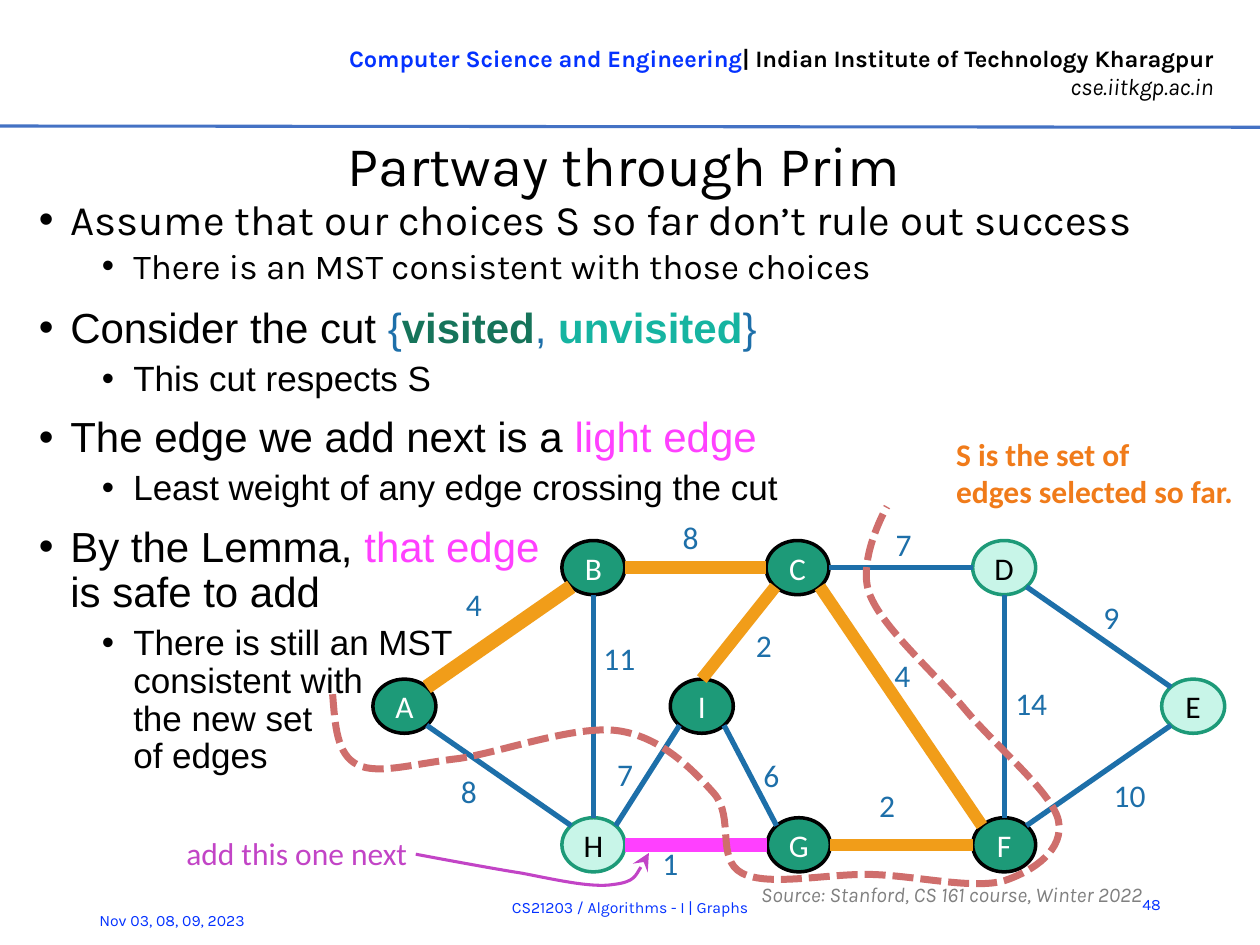
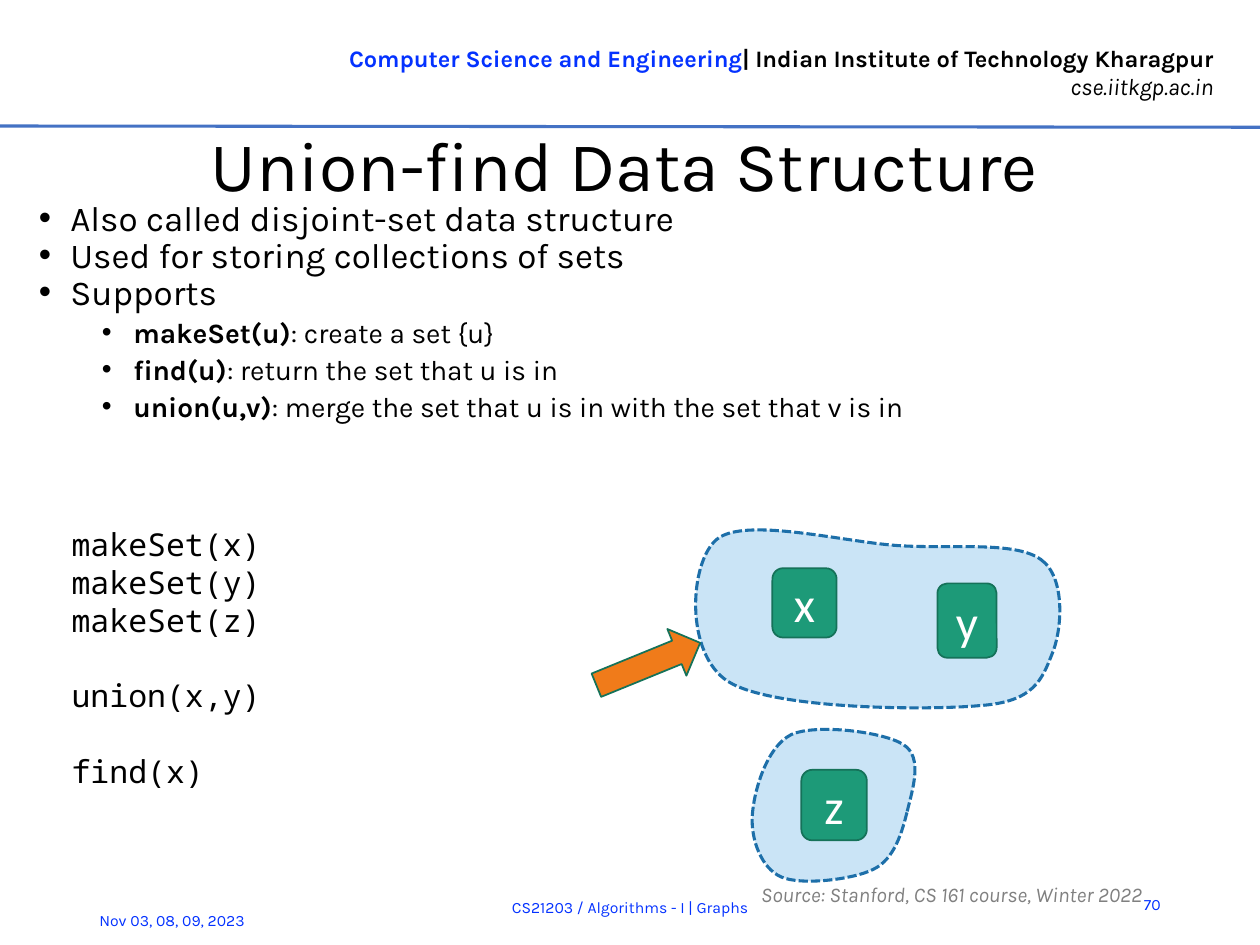
"""Builds two algorithm lecture slides: Prim's cut argument and union-find."""
from math import cos, radians, sin

from lxml import etree
from pptx import Presentation
from pptx.dml.color import RGBColor
from pptx.enum.dml import MSO_LINE
from pptx.enum.shapes import MSO_CONNECTOR, MSO_SHAPE
from pptx.enum.text import MSO_ANCHOR, PP_ALIGN
from pptx.oxml.ns import qn
from pptx.util import Emu, Pt

SCALE = 9144
LEFT, CENTER, RIGHT = PP_ALIGN.LEFT, PP_ALIGN.CENTER, PP_ALIGN.RIGHT
TOP, MIDDLE = MSO_ANCHOR.TOP, MSO_ANCHOR.MIDDLE
ELLIPSE, ROUNDED, ARROW = MSO_SHAPE.OVAL, MSO_SHAPE.ROUNDED_RECTANGLE, MSO_SHAPE.RIGHT_ARROW
STRAIGHT = MSO_CONNECTOR.STRAIGHT
DASH = MSO_LINE.SQUARE_DOT
KARLA, ARIAL, CALIBRI, MONO = "Karla", "Arial", "Calibri", "Noto Sans Mono"

COLORS = {
    "black": "000000", "white": "FFFFFF", "gray": "808080", "link": "0432FF",
    "rule": "4472C4", "blue": "1D6FA9", "pale blue": "CAE4F6", "green": "1D9A78",
    "dark green": "157259", "mint": "C8F5E8", "visited": "16745A",
    "unvisited": "16B4A1", "pink": "FF40FF", "amber": "F19D19",
    "orange": "F07B1A", "cut": "CF6E6C", "purple": "C244C6",
}

NODE_WIDTH, NODE_HEIGHT = 50, 43
NODES = {
    "D": (772, 429), "C": (608, 429), "B": (446, 429), "A": (296, 539), "H": (446, 649),
    "G": (609, 649), "F": (772, 649), "I": (532, 539), "E": (922, 539),
}
UNVISITED = "DEH"
SIDES = {"E": 0, "SE": 45, "S": 90, "SW": 135, "W": 180, "NW": 225, "N": 270, "NE": 315}
EDGES = [
    ("C", "SE", "F", "NW", "amber", 7), ("C", "E", "D", "W", "blue", 3),
    ("E", "NW", "D", "SE", "blue", 3), ("E", "SW", "F", "NE", "blue", 3),
    ("D", "S", "F", "N", "blue", 3), ("I", "SE", "G", "NW", "blue", 3),
    ("G", "E", "F", "W", "amber", 7), ("I", "N", "C", "SW", "amber", 7),
    ("B", "E", "C", "W", "amber", 7), ("A", "NE", "B", "SW", "amber", 8.25),
    ("A", "SE", "H", "NW", "blue", 3), ("G", "W", "H", "E", "pink", 8),
    ("I", "SW", "H", "NE", "blue", 3), ("H", "N", "B", "S", "blue", 3),
]
WEIGHTS = [
    ("7", 701, 412), ("8", 532, 406), ("9", 866, 470), ("10", 874, 611), ("14", 796, 538),
    ("4", 700, 516), ("2", 688, 619), ("2", 590, 492), ("1", 516, 665), ("7", 480, 594),
    ("6", 596, 595), ("8", 356, 608), ("11", 469, 502), ("4", 360, 459),
]
CUT_AREA = (264, 402, 576, 299)
CUT = [
    (264, 551), (266, 575), (267, 599), (284, 607), (300, 615), (329, 606), (364, 602),
    (398, 597), (457, 575), (491, 580), (525, 585), (550, 611), (567, 630),
    (583, 649), (568, 682), (589, 693), (610, 704), (658, 693), (692, 694),
    (727, 695), (772, 706), (797, 699), (821, 691), (845, 674), (840, 651),
    (835, 629), (791, 593), (766, 563), (741, 533), (700, 498), (690, 471),
    (680, 444), (704, 402), (704, 402),
]
POINTER_AREA = (330, 677, 185, 26)
POINTER = [
    (515, 677), (509, 688), (504, 700), (487, 702), (470, 705), (440, 698), (414, 693),
    (388, 689), (330, 678), (330, 678),
]
SET_Z_AREA = (597, 579, 129, 121)
SET_Z = [
    (720, 644), (724, 627), (733, 601), (717, 591), (702, 581), (648, 574), (628, 583),
    (608, 593), (598, 629), (597, 648), (596, 666), (604, 689), (620, 696),
    (636, 703), (677, 698), (693, 690), (710, 682), (716, 660), (720, 644),
]
SET_XY_AREA = (552, 421, 289, 141)
SET_XY = [
    (826, 444), (846, 458), (843, 500), (835, 519), (827, 539), (821, 557), (778, 560),
    (735, 564), (613, 563), (578, 541), (543, 519), (547, 446), (569, 428),
    (591, 410), (669, 430), (712, 433), (754, 436), (805, 429), (826, 444),
]


def px(length):
    return Emu(round(length * SCALE))


def rgb(name):
    return RGBColor.from_string(COLORS[name])


def span(text, **look):
    return text, look


def para(*spans, **layout):
    return [part if isinstance(part, tuple) else span(part) for part in spans], layout


def add_span(target, text, font=KARLA, size=18, color="black", bold=False, italic=False):
    for index, line in enumerate(text.split("\n")):
        if index:
            target.add_line_break()
        if line:
            run = target.add_run()
            run.text = line
            run.font.name = font
            run.font.size = Pt(size)
            run.font.bold = bold
            run.font.italic = italic
            run.font.color.rgb = rgb(color)


def add_bullet(target, level):
    target.level = level
    props = target._p.get_or_add_pPr()
    props.set("marL", str(px(25 + 50 * level)))
    props.set("indent", str(px(-25)))
    etree.SubElement(props, qn("a:buFont")).set("typeface", ARIAL)
    etree.SubElement(props, qn("a:buChar")).set("char", "•")


def add_path_step(outline, tag, points, left, top):
    step = etree.SubElement(outline, qn(tag))
    for x, y in points:
        point = etree.SubElement(step, qn("a:pt"))
        point.set("x", str(px(x - left)))
        point.set("y", str(px(y - top)))


def node_side(node, side):
    left, top = NODES[node]
    angle = radians(SIDES[side])
    return (left + NODE_WIDTH / 2 * (1 + cos(angle)), top + NODE_HEIGHT / 2 * (1 + sin(angle)))


class Lecture:
    def __init__(self):
        self.deck = Presentation()
        self.deck.slide_width, self.deck.slide_height = px(1000), px(750)
        self.layout = self.deck.slide_layouts[5]
        self.page = None

    def start(self, title, number, top, height, size):
        self.page = self.deck.slides.add_slide(self.layout)
        if len(self.deck.slides) == 1:
            self.header()
        small = {"anchor": MIDDLE, "size": 9, "color": "link"}
        self.text((882, 698, 49, 40), [para(number)], align=RIGHT, **small)
        self.title(title, (32, top, 926, height), size)
        self.text((69, 710, 175, 40), [para("Nov 03, 08, 09, 2023")], **small)
        self.text((165, 700, 670, 40), [para("CS21203 / Algorithms - I | Graphs")],
                  align=CENTER, **small)
        self.text((594, 693, 402, 23),
                  [para("Source: Stanford, CS 161 course, Winter 2022", spacing=Pt(21.3))],
                  anchor=MIDDLE, size=12, color="gray", italic=True)

    def header(self):
        tree = self.layout.shapes._spTree
        for holder in list(self.layout.placeholders)[1:]:
            tree.remove(holder._element)
        banner = self.text((265, 30, 708, 56), [
            para(span("Computer Science and Engineering", color="link", bold=True),
                 span("| Indian Institute of Technology Kharagpur", bold=True)),
            para(span("cse.iitkgp.ac.in", italic=True)),
        ], align=RIGHT, wrap=False, size=13.5)
        rule = self.line((0, 100), (1000, 101), "rule", 1.75)
        for shape in (banner, rule):
            tree.append(shape._element)

    def title(self, text, area, size):
        box = self.page.shapes.title
        box.left, box.top, box.width, box.height = map(px, area)
        frame = box.text_frame
        frame.margin_left = frame.margin_right = frame.margin_bottom = 0
        frame.margin_top = px(1)
        self.fill_frame(frame, [para(text, before=0.7)], CENTER, MIDDLE, size=size)
        frame.paragraphs[0]._p.get_or_add_pPr().set("marL", str(px(1)))

    def fill_frame(self, frame, paras, align=LEFT, anchor=TOP, wrap=True, **look):
        frame.word_wrap = wrap
        frame.vertical_anchor = anchor
        for index, (spans, layout) in enumerate(paras):
            target = frame.add_paragraph() if index else frame.paragraphs[0]
            target.alignment = align
            target.line_spacing = layout.get("spacing")
            target.space_before = Pt(layout.get("before", 0))
            target.space_after = Pt(layout.get("after", 0))
            if "level" in layout:
                add_bullet(target, layout["level"])
            para_look = {**look, **layout.get("look", {})}
            for text, own in spans:
                add_span(target, text, **{**para_look, **own})

    def text(self, area, paras, **style):
        box = self.page.shapes.add_textbox(*map(px, area))
        self.fill_frame(box.text_frame, paras, **style)
        return box

    def paint(self, shape, fill, line, width, dash=None):
        shape.shadow.inherit = False
        if fill:
            shape.fill.solid()
            shape.fill.fore_color.rgb = rgb(fill)
        else:
            shape.fill.background()
        shape.line.color.rgb = rgb(line)
        shape.line.width = Pt(width)
        if dash:
            shape.line.dash_style = dash

    def shape(self, kind, area, fill, line, width, label="", rotation=0, **look):
        shape = self.page.shapes.add_shape(kind, *map(px, area))
        shape.rotation = rotation
        self.paint(shape, fill, line, width)
        if label:
            self.fill_frame(shape.text_frame, [para(label)], CENTER, MIDDLE,
                            font=CALIBRI, **look)

    def line(self, start, end, color, width):
        line = self.page.shapes.add_connector(STRAIGHT, *map(px, (*start, *end)))
        line.line.color.rgb = rgb(color)
        line.line.width = Pt(width)
        etree.SubElement(line._element.spPr, qn("a:effectLst"))
        return line

    def curve(self, area, points, line, width, fill=None, dash=None, arrow=False):
        left, top, across, down = area
        builder = self.page.shapes.build_freeform(px(left), px(top))
        builder.add_line_segments([(px(left + across), px(top + down))], close=False)
        shape = builder.convert_to_shape()
        outline = next(shape._element.iter(qn("a:path")))
        del outline[:]
        add_path_step(outline, "a:moveTo", points[:1], left, top)
        for first in range(1, len(points), 3):
            add_path_step(outline, "a:cubicBezTo", points[first:first + 3], left, top)
        if fill:
            etree.SubElement(outline, qn("a:close"))
        self.paint(shape, fill, line, width, dash)
        if arrow:
            head = etree.SubElement(shape.line._get_or_add_ln(), qn("a:headEnd"))
            for key, value in (("type", "stealth"), ("w", "lg"), ("len", "lg")):
                head.set(key, value)


def build_prim(lecture):
    lecture.start("Partway through Prim", "48", 102, 55, 32)
    intro = {"spacing": Pt(20), "before": 2, "after": 2}
    point = {"level": 0, "spacing": 0.9, "before": 10, "look": {"size": 24}}
    detail = {"level": 1, "spacing": 0.9, "before": 5}
    lecture.text((21, 161, 937, 243), [
        para(span("Assume that our choices S so far don’t rule out success", font=KARLA, size=24),
             level=0, **intro),
        para(span("There is an MST consistent with those choices", font=KARLA), level=1, **intro),
        para("Consider the cut ", span("{", color="blue"),
             span("visited", color="visited", bold=True), span(", ", color="blue"),
             span("unvisited", color="unvisited", bold=True), span("}", color="blue"), **point),
        para("This cut respects S", **detail),
        para("The edge we add next is a ", span("light edge", color="pink"), **point),
        para("Least weight of any edge crossing the cut", **detail),
        para("By the Lemma, ", span("that edge\n", color="pink"), "is safe to add", **point),
        para("There is still an MST\nconsistent with\nthe new set\nof edges", **detail),
    ], font=ARIAL, size=20)
    for name, corner in NODES.items():
        fill, line, color = (("mint", "green", "black") if name in UNVISITED
                             else ("green", "black", "white"))
        lecture.shape(ELLIPSE, (*corner, NODE_WIDTH, NODE_HEIGHT), fill, line, 2, name, color=color)
    for start, start_side, end, end_side, color, width in EDGES:
        lecture.line(node_side(start, start_side), node_side(end, end_side), color, width)
    for weight, left, top in WEIGHTS:
        lecture.text((left, top, 70, 36), [para(weight)], font=CALIBRI, color="blue")
    lecture.text((749, 340, 251, 71), [para("S is the set of"), para("edges selected so far.")],
                 font=CALIBRI, color="orange", bold=True)
    lecture.curve(CUT_AREA, CUT, "cut", 4, dash=DASH)
    lecture.text((138, 657, 221, 40), [para("add this one next")], font=CALIBRI, color="purple")
    lecture.curve(POINTER_AREA, POINTER, "purple", 1.75, arrow=True)


def build_union_find(lecture):
    lecture.start("Union-find Data Structure", "70", 95, 68, 40)
    tight = {"spacing": Pt(17), "before": 2, "after": 2}
    facts = ["Also called disjoint-set data structure", "Used for storing collections of sets",
             "Supports"]
    operations = [("makeSet(u)", "create a set {u}"), ("find(u)", "return the set that u is in"),
                  ("union(u,v)", "merge the set that u is in with the set that v is in")]
    lecture.text((21, 161, 937, 232), [para(fact, level=0, **tight) for fact in facts] + [
        para(span(call, bold=True), f": {meaning}", level=1, look={"size": 16}, **tight)
        for call, meaning in operations
    ], size=20)
    lecture.text((47, 412, 393, 283), [
        para("makeSet(x)"), para("makeSet(y)"), para("makeSet(z)"),
        para("union(x,y)", before=21.6), para("find(x)", before=21.6),
    ], font=MONO)
    tile = {"size": 28, "color": "white"}
    lecture.curve(SET_Z_AREA, SET_Z, "blue", 1.75, fill="pale blue", dash=DASH)
    lecture.shape(ROUNDED, (636, 611, 52, 56), "green", "dark green", 1, "z", **tile)
    lecture.curve(SET_XY_AREA, SET_XY, "blue", 1.75, fill="pale blue", dash=DASH)
    for label, area in (("x", (613, 451, 51, 55)), ("y", (744, 463, 47, 59))):
        lecture.shape(ROUNDED, area, "green", "dark green", 1, label, **tile)
    lecture.shape(ARROW, (470, 507, 89, 40), "orange", "dark green", 1, rotation=337.8)


def main():
    lecture = Lecture()
    build_prim(lecture)
    build_union_find(lecture)
    lecture.deck.save("out.pptx")


if __name__ == "__main__":
    main()
